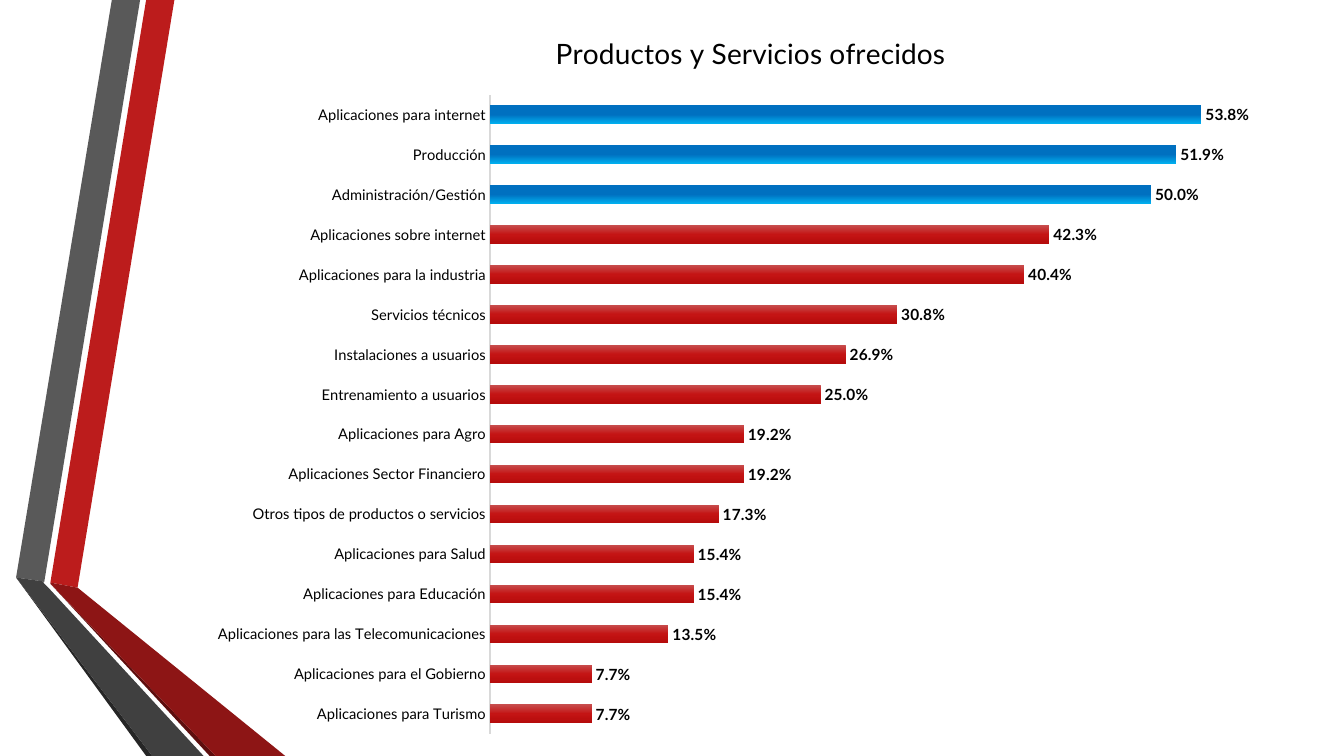
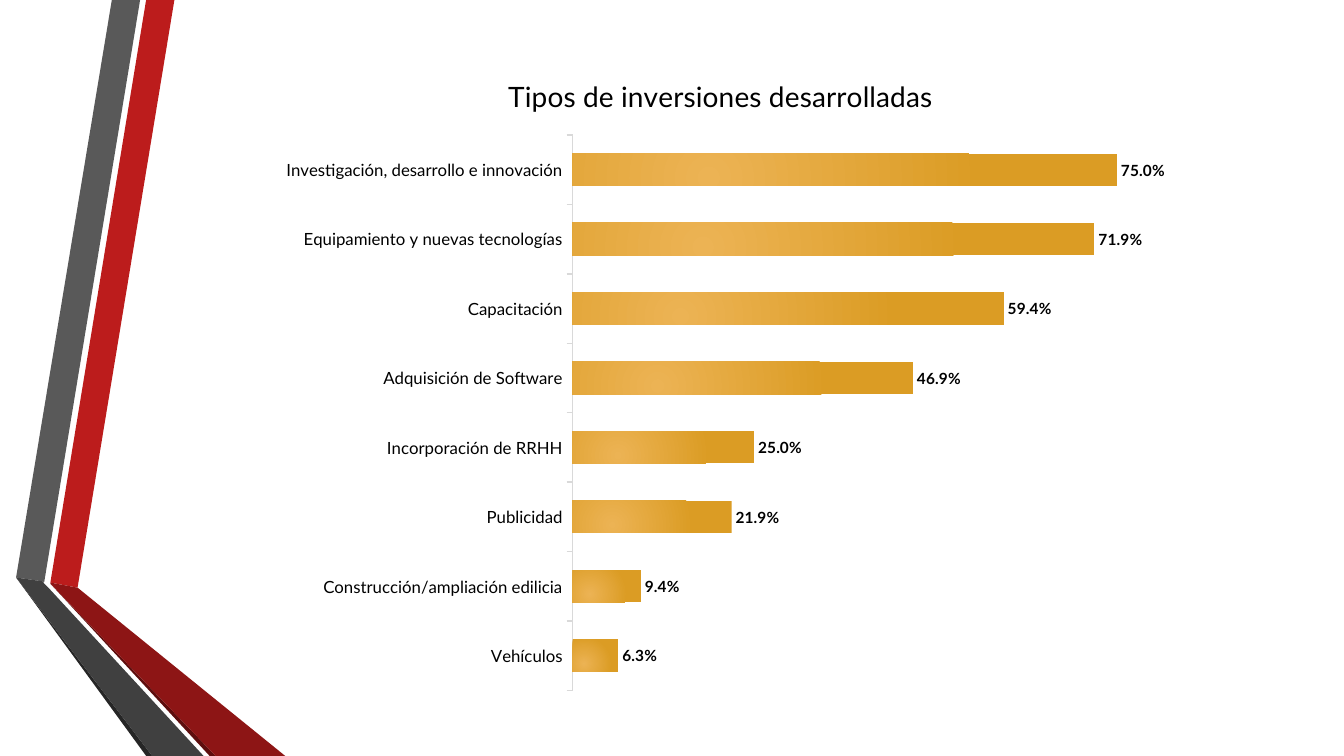
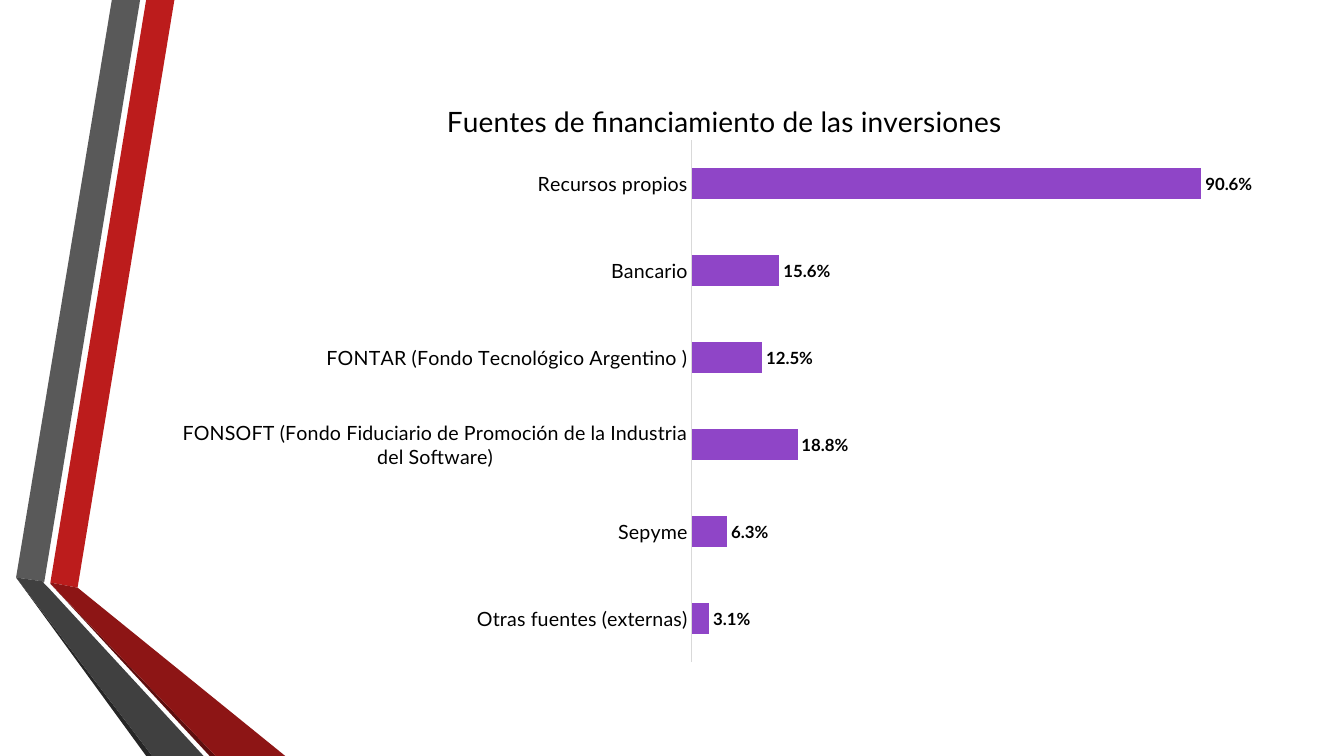
import pptx
import pptx.chart.data
import pptx.dml.color
import pptx.enum.chart
import pptx.oxml
import pptx.oxml.ns
import pptx.util

FONT = "Lato"
BLACK = "000000"
AXIS_GRAY = "D9D9D9"
PERCENT = "0.0%"
rgb = pptx.dml.color.RGBColor.from_string
Inches = pptx.util.Inches
Pt = pptx.util.Pt


def place_part(part, frame, left, top, size=None):
    """Fix a chart title or plot area at slide inches within the chart frame."""
    frame_left, frame_top, frame_width, frame_height = frame
    for old in part.xpath("c:layout"):
        part.remove(old)
    values = {"x": (left - frame_left) / frame_width,
              "y": (top - frame_top) / frame_height}
    target = ""
    if size:
        target = '<c:layoutTarget val="inner"/>'
        values.update(w=size[0] / frame_width, h=size[1] / frame_height)
    modes = '<c:xMode val="edge"/><c:yMode val="edge"/>'
    places = "".join(f'<c:{key} val="{value:.4f}"/>' for key, value in values.items())
    layout = pptx.oxml.parse_xml(
        f'<c:layout {pptx.oxml.ns.nsdecls("c")}><c:manualLayout>'
        f"{target}{modes}{places}</c:manualLayout></c:layout>")
    part.insert(len(part.xpath("c:tx")), layout)


def fill_gradient(item, stops, direction):
    """Give a series or point a gradient of (percent, colour) stops."""
    marks = "".join(f'<a:gs pos="{percent * 1000}"><a:srgbClr val="{color}"/></a:gs>'
                    for percent, color in stops)
    gradient = pptx.oxml.parse_xml(
        f'<a:gradFill {pptx.oxml.ns.nsdecls("a")} rotWithShape="1">'
        f"<a:gsLst>{marks}</a:gsLst>{direction}</a:gradFill>")
    item.format.element.get_or_add_spPr().insert(0, gradient)


DOWNWARD = '<a:lin ang="5400000" scaled="0"/>'
CIRCLE = ('<a:path path="circle"><a:fillToRect l="50000" t="100000" '
          'r="100000" b="50000"/></a:path>')
RED_STOPS = [(0, "C74E4E"), (50, "C41414"), (100, "B50B0B")]
BLUE_STOPS = [(0, "0070C0"), (50, "0070C0"), (100, "00B0F0")]
GOLD_STOPS = [(0, "ECB354"), (100, "DB9C24")]
PURPLE = "8F45C7"

# Band corners in hundredths of an inch
BANDS = [
    ("BC1C1C", [(50, 578), (77, 583), (173, 0), (145, 0)]),
    ("595959", [(139, 0), (111, 0), (16, 573), (44, 577)]),
    ("262626", [(16, 573), (145, 750), (151, 750)]),
    ("5E0E0E", [(50, 579), (208, 750), (214, 750)]),
    ("8D1515", [(50, 579), (214, 750), (283, 750), (77, 583), (50, 578)]),
    ("404040", [(202, 750), (48, 583), (43, 578), (44, 577), (16, 573), (151, 750)]),
]

CHARTS = [
    {
        "title": "Productos y Servicios ofrecidos",
        "title_at": (5.46, 0.27),
        "frame": (1.95, 0.08, 11, 7.34),
        "plot": (4.86, 0.94, (7.87, 6.34)),
        "maximum": 0.6, "gap": 115, "overlap": -20,
        "axis_size": 10.5, "label_size": 11, "axis_width": 1, "tick": "NONE",
        "stops": RED_STOPS, "direction": DOWNWARD, "highlights": 3,
        "bars": [
            ("Aplicaciones para internet", 0.538),
            ("Producción", 0.519),
            ("Administración/Gestión", 0.5),
            ("Aplicaciones sobre internet", 0.423),
            ("Aplicaciones para la industria", 0.404),
            ("Servicios técnicos", 0.308),
            ("Instalaciones a usuarios", 0.269),
            ("Entrenamiento a usuarios", 0.25),
            ("Aplicaciones para Agro", 0.192),
            ("Aplicaciones Sector Financiero", 0.192),
            ("Otros tipos de productos o servicios", 0.173),
            ("Aplicaciones para Salud", 0.154),
            ("Aplicaciones para Educación", 0.154),
            ("Aplicaciones para las Telecomunicaciones", 0.135),
            ("Aplicaciones para el Gobierno", 0.077),
            ("Aplicaciones para Turismo", 0.077),
        ],
    },
    {
        "title": "Tipos de inversiones desarrolladas",
        "title_at": (4.99, 0.7),
        "frame": (2.67, 0.52, 8.96, 6.46),
        "plot": (5.68, 1.34, (5.76, 5.51)),
        "maximum": 0.8, "gap": 115, "overlap": -20,
        "axis_size": 12, "label_size": 11, "axis_width": 1, "tick": "OUTSIDE",
        "stops": GOLD_STOPS, "direction": CIRCLE, "highlights": 0,
        "bars": [
            ("Investigación, desarrollo e innovación", 0.75),
            ("Equipamiento y nuevas tecnologías", 0.719),
            ("Capacitación", 0.594),
            ("Adquisición de Software", 0.469),
            ("Incorporación de RRHH", 0.25),
            ("Publicidad", 0.219),
            ("Construcción/ampliación edilicia", 0.094),
            ("Vehículos", 0.063),
        ],
    },
    {
        "title": "Fuentes de financiamiento de las inversiones",
        "title_at": (4.38, 0.95),
        "frame": (1.81, 0.78, 10.74, 5.95),
        "plot": (6.86, 1.39, (5.58, 5.18)),
        "maximum": 1, "gap": 182, "overlap": 0,
        "axis_size": 14, "label_size": 12, "axis_width": 0.75, "tick": "NONE",
        "stops": None, "direction": None, "highlights": 0,
        "bars": [
            ("Recursos propios", 0.906),
            ("Bancario", 0.156),
            ("FONTAR (Fondo Tecnológico Argentino )", 0.125),
            ("FONSOFT (Fondo Fiduciario de Promoción de la Industria del Software)", 0.188),
            ("Sepyme", 0.063),
            ("Otras fuentes (externas)", 0.031),
        ],
    },
]

deck = pptx.Presentation()
deck.slide_width = Inches(13.33)
deck.slide_height = Inches(7.5)
layout = deck.slide_layouts[6]
pages = [deck.slides.add_slide(layout) for plan in CHARTS]

# Bands are drawn on a page, then moved to the layout all pages share
for color, points in BANDS:
    builder = pages[0].shapes.build_freeform(*points[0], scale=Inches(0.01))
    builder.add_line_segments(points[1:], close=True)
    band = builder.convert_to_shape()
    band.shadow.inherit = False
    band.fill.solid()
    band.fill.fore_color.rgb = rgb(color)
    band.line.fill.background()
    layout.shapes.element.append(band.element)

for page, plan in zip(pages, CHARTS):
    data = pptx.chart.data.CategoryChartData(number_format=PERCENT)
    data.categories = [name for name, value in plan["bars"]]
    data.add_series("Series 1", [value for name, value in plan["bars"]])
    frame = page.shapes.add_chart(
        pptx.enum.chart.XL_CHART_TYPE.BAR_CLUSTERED,
        *[Inches(length) for length in plan["frame"]], data)
    chart = frame.chart
    chart.has_legend = False
    chart.font.name = FONT
    chart.font.size = Pt(10)
    chart.font.color.rgb = rgb(BLACK)

    chart.has_title = True
    title = chart.chart_title
    title.text_frame.text = plan["title"]
    title_font = title.text_frame.paragraphs[0].font
    title_font.name = FONT
    title_font.size = Pt(20)
    title_font.bold = False
    title_font.color.rgb = rgb(BLACK)
    plot_area = chart.element.xpath("c:chart/c:plotArea")[0]
    place_part(title.element, plan["frame"], *plan["title_at"])
    place_part(plot_area, plan["frame"], *plan["plot"])

    names = chart.category_axis
    names.reverse_order = True
    names.major_tick_mark = getattr(pptx.enum.chart.XL_TICK_MARK, plan["tick"])
    names.minor_tick_mark = pptx.enum.chart.XL_TICK_MARK.NONE
    names.has_major_gridlines = False
    names.tick_labels.font.name = FONT
    names.tick_labels.font.size = Pt(plan["axis_size"])
    names.tick_labels.font.color.rgb = rgb(BLACK)
    names.format.line.color.rgb = rgb(AXIS_GRAY)
    names.format.line.width = Pt(plan["axis_width"])

    scale = chart.value_axis
    scale.minimum_scale = 0
    scale.maximum_scale = plan["maximum"]
    scale.has_major_gridlines = False
    scale.visible = False

    bars = chart.plots[0]
    bars.vary_by_categories = False
    bars.gap_width = plan["gap"]
    bars.overlap = plan["overlap"]
    series = bars.series[0]
    series.invert_if_negative = False
    if plan["stops"]:
        fill_gradient(series, plan["stops"], plan["direction"])
    else:
        series.format.fill.solid()
        series.format.fill.fore_color.rgb = rgb(PURPLE)
    for index in range(plan["highlights"]):
        fill_gradient(series.points[index], BLUE_STOPS, DOWNWARD)

    bars.has_data_labels = True
    labels = bars.data_labels
    labels.show_value = True
    labels.number_format = PERCENT
    labels.number_format_is_linked = False
    labels.position = pptx.enum.chart.XL_LABEL_POSITION.OUTSIDE_END
    labels.font.name = FONT
    labels.font.size = Pt(plan["label_size"])
    labels.font.bold = True
    labels.font.color.rgb = rgb(BLACK)

deck.save("out.pptx")
